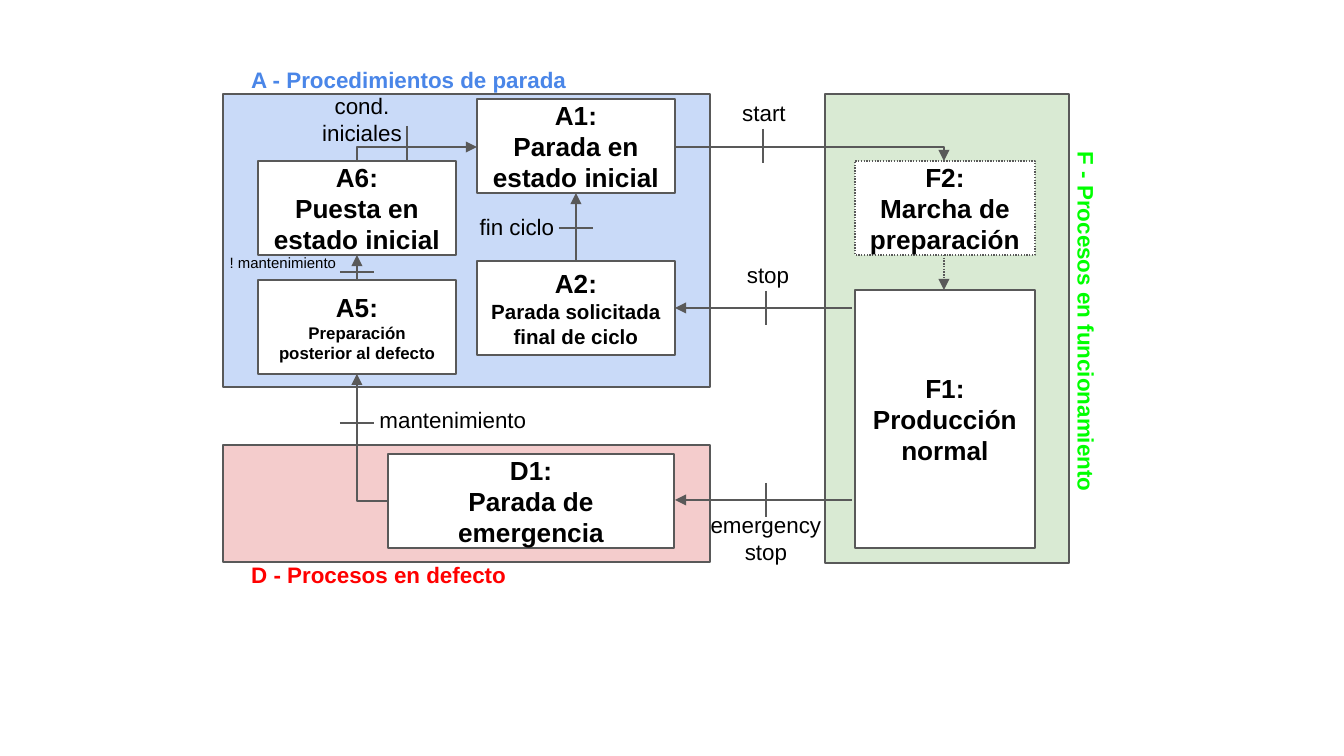
import pptx
import pptx.util
import pptx.dml.color
import pptx.enum.dml
import pptx.enum.shapes
import pptx.enum.text
import pptx.oxml
import pptx.oxml.ns

RGB = pptx.dml.color.RGBColor
BLACK, WHITE, GRAY = RGB(0, 0, 0), RGB(255, 255, 255), RGB(0x59, 0x59, 0x59)
PALE_BLUE, PALE_GREEN, PALE_RED = RGB(0xC9, 0xDA, 0xF8), RGB(0xD9, 0xEA, 0xD3), RGB(0xF4, 0xCC, 0xCC)
BLUE, GREEN, RED = RGB(0x4A, 0x86, 0xE8), RGB(0, 255, 0), RGB(255, 0, 0)
ALIGN = pptx.enum.text.PP_ALIGN
DOT = pptx.enum.dml.MSO_LINE.ROUND_DOT
TICK = 34


def px(n):
    """Turn picture pixels into EMU."""
    return round(n * 914400 / 134.4)


def write(s, lines, color=BLACK, bold=False, align=ALIGN.CENTER):
    """Fill a shape with (text, size) paragraphs."""
    tf = s.text_frame
    tf.word_wrap = True
    tf.margin_left = tf.margin_right = tf.margin_top = tf.margin_bottom = pptx.util.Inches(0.1)
    for i, (text, size) in enumerate(lines):
        p = tf.paragraphs[0] if i == 0 else tf.add_paragraph()
        p.text, p.alignment = text, align
        f = p.runs[0].font
        f.name, f.size, f.bold, f.color.rgb = "Arial", pptx.util.Pt(size), bold, color


def style_line(s, dash=None):
    """Give a shape or connector the thin gray line."""
    s.line.color.rgb, s.line.width = GRAY, pptx.util.Pt(0.75)
    if dash:
        s.line.dash_style = dash


def rect(slide, box, fill, dash=None):
    """Draw an outlined rectangle."""
    s = slide.shapes.add_shape(pptx.enum.shapes.MSO_SHAPE.RECTANGLE, *map(px, box))
    s.shadow.inherit = False
    s.fill.solid()
    s.fill.fore_color.rgb = fill
    style_line(s, dash)
    return s


def state(slide, box, code, name, size=14, dash=None):
    """Draw one state with its code and name."""
    s = rect(slide, box, WHITE, dash)
    s.text_frame.vertical_anchor = pptx.enum.text.MSO_ANCHOR.MIDDLE
    write(s, [(code + ":", 14), (name, size)], bold=True)


def label(slide, box, text, size=12, **style):
    """Place a free text."""
    s = slide.shapes.add_textbox(*map(px, box))
    write(s, [(text, size)], **style)
    return s


def line(slide, start, end, arrow=True, dash=None, elbow=False):
    """Draw a straight or single-bend connector."""
    kinds = pptx.enum.shapes.MSO_CONNECTOR
    c = slide.shapes.add_connector(kinds.ELBOW if elbow else kinds.STRAIGHT, *map(px, (*start, *end)))
    style_line(c, dash)
    spPr = c._element.spPr
    qn, make = pptx.oxml.ns.qn, pptx.oxml.parse_xml
    ns = pptx.oxml.ns.nsdecls("a")
    if elbow:
        spPr.find(qn("a:prstGeom")).set("prst", "bentConnector2")
    if arrow:
        spPr.find(qn("a:ln")).append(make(f'<a:tailEnd {ns} type="triangle"/>'))
    spPr.append(make(f"<a:effectLst {ns}/>"))
    return c


def rising_elbow(slide, start, end):
    """Draw an arrow that goes up first and then right."""
    (x1, y1), (x2, y2) = start, end
    w, h = y1 - y2, x2 - x1
    left, top = (x1 + x2 - w) / 2, (y1 + y2 - h) / 2
    c = line(slide, (left, top), (left + w, top + h), elbow=True)
    c._element.spPr.xfrm.set("rot", "16200000")


def tick(slide, x, y, upright=False):
    """Draw the transition bar centred on a point."""
    dx, dy = (0, TICK / 2) if upright else (TICK / 2, 0)
    line(slide, (x - dx, y - dy), (x + dx, y + dy), arrow=False)


def stop_region(slide, x, y, w, h):
    """Build region A with its states and inner transitions."""
    rect(slide, (x, y, w, h), PALE_BLUE)
    label(slide, (x + 15, y - 41, 472, 54), "A - Procedimientos de parada",
          color=BLUE, bold=True, align=ALIGN.LEFT)
    for dx, dy, code, name, size in (
            (254, 5, "A1", "Parada en estado inicial", 14),
            (254, 167, "A2", "Parada solicitada final de ciclo", 11),
            (35, 67, "A6", "Puesta en estado inicial", 14),
            (35, 186, "A5", "Preparación posterior al defecto", 9)):
        state(slide, (x + dx, y + dy, 198, 94), code, name, size)
    left, right = x + 134, x + 353
    line(slide, (right, y + 167), (right, y + 99))
    tick(slide, right, y + 134)
    label(slide, (x + 235, y + 106, 118, 54), "fin ciclo")
    line(slide, (left, y + 186), (left, y + 161))
    tick(slide, left, y + 178)
    label(slide, (x - 39, y + 151, 198, 46), "! mantenimiento", 8)
    rising_elbow(slide, (left, y + 67), (x + 254, y + 53))
    tick(slide, x + 184, y + 49, upright=True)
    label(slide, (x + 83, y - 15, 112, 82), "cond. iniciales")


def run_region(slide, x, y, w, h):
    """Build region F with its states and dotted arrow."""
    rect(slide, (x, y, w, h), PALE_GREEN)
    s = label(slide, (x + 49, y + 230, 425, 54), "F - Procesos en funcionamiento",
              color=GREEN, bold=True, align=ALIGN.LEFT)
    s.rotation = 90
    state(slide, (x + 30, y + 196, 180, 258), "F1", "Producción normal")
    state(slide, (x + 30, y + 67, 180, 94), "F2", "Marcha de preparación", dash=DOT)
    line(slide, (x + 119, y + 161), (x + 119, y + 196), dash=DOT)


def fault_region(slide, x, y, w, h):
    """Build region D with its state."""
    rect(slide, (x, y, w, h), PALE_RED)
    label(slide, (x + 15, y + 103, 472, 54), "D - Procesos en defecto",
          color=RED, bold=True, align=ALIGN.LEFT)
    state(slide, (x + 165, y + 9, 286, 94), "D1", "Parada de emergencia")


def region_links(slide, x, y):
    """Draw the transitions between regions from the corner of region A."""
    near, far = x + 452, x + 629
    line(slide, (near, y + 53), (x + 721, y + 67), elbow=True)
    for dy in (214, 406):
        line(slide, (far, y + dy), (near, y + dy))
    for dx, dy in ((540, 52), (543, 214), (543, 406)):
        tick(slide, x + dx, y + dy, upright=True)
    line(slide, (x + 165, y + 407), (x + 134, y + 280), elbow=True)
    tick(slide, x + 134, y + 329)
    for dx, dy, w, h, text in (
            (496, -8, 90, 54, "start"), (500, 154, 90, 54, "stop"),
            (474, 404, 138, 82, "emergency stop"), (141, 299, 178, 54, "mantenimiento")):
        label(slide, (x + dx, y + dy, w, h), text)


prs = pptx.Presentation()
prs.slide_width, prs.slide_height = px(1344), px(756)
slide = prs.slides.add_slide(prs.slide_layouts[6])
stop_region(slide, 223, 94, 487, 293)
run_region(slide, 825, 94, 244, 469)
fault_region(slide, 223, 445, 487, 117)
region_links(slide, 223, 94)
prs.save("out.pptx")
